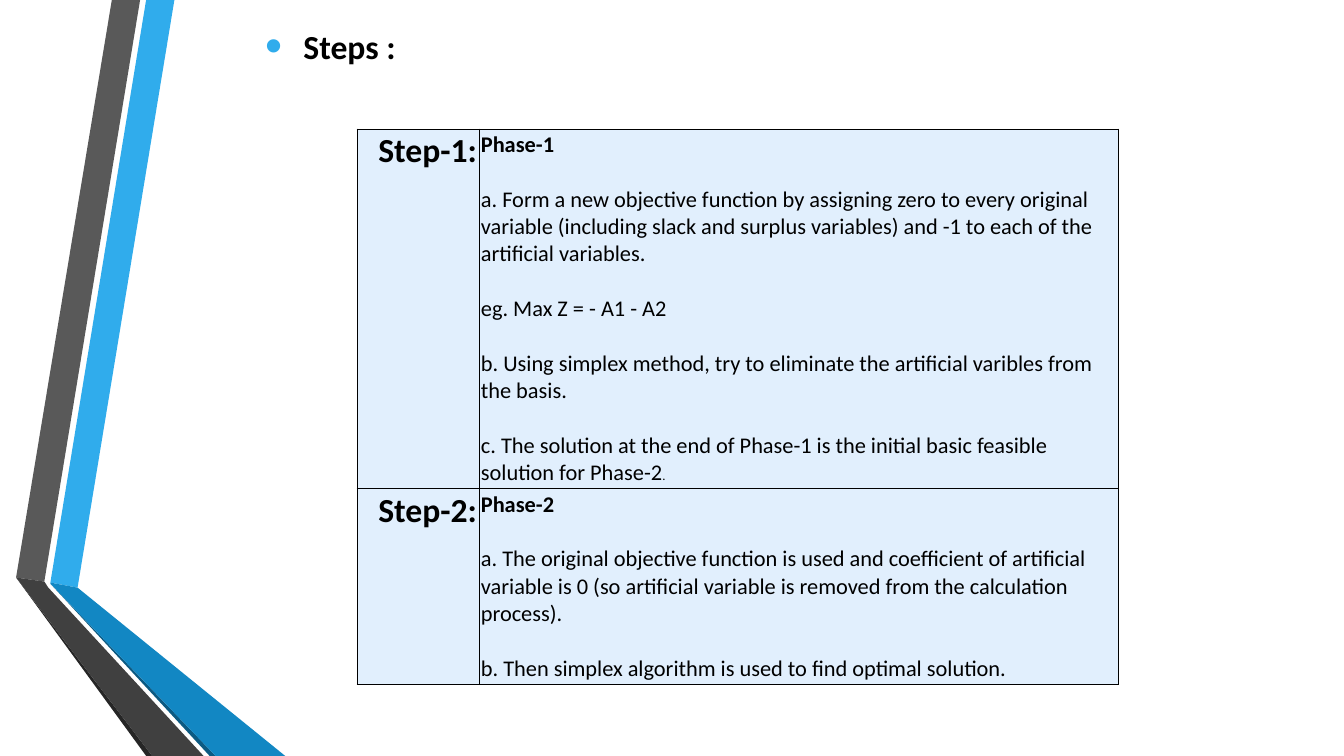
from lxml import etree
from pptx import Presentation
from pptx.dml.color import RGBColor
from pptx.enum.text import MSO_ANCHOR, PP_ALIGN
from pptx.oxml.ns import qn
from pptx.util import Inches, Pt

LEFT, RIGHT, JUST = PP_ALIGN.LEFT, PP_ALIGN.RIGHT, PP_ALIGN.JUSTIFY
TOP, MIDDLE = MSO_ANCHOR.TOP, MSO_ANCHOR.MIDDLE
FONT, BLACK, SKY, PALE = "Calibri", "000000", "30ACEC", "E1EFFD"
LINE = 19.5  # height in points of one 16 pt line

# Ribbon bands, back to front, as corners in inches
BANDS = [
    (SKY, [(0.5, 5.78), (0.77, 5.83), (1.73, 0), (1.45, 0)]),
    ("595959", [(1.39, 0), (1.11, 0), (0.16, 5.73), (0.44, 5.77)]),
    ("262626", [(0.16, 5.73), (1.45, 7.5), (1.51, 7.5)]),
    ("0C5A82", [(0.5, 5.79), (2.08, 7.5), (2.14, 7.5)]),
    ("1287C3", [(0.5, 5.79), (2.14, 7.5), (2.83, 7.5), (0.77, 5.83), (0.5, 5.78)]),
    ("404040", [(2.02, 7.5), (0.48, 5.83), (0.44, 5.77), (0.16, 5.73), (1.51, 7.5)]),
]

# Each step: label, then paragraphs as lists of (text, format)
HEAD = {"size": Pt(16), "bold": True}
BODY = {"size": Pt(16), "bold": False}
TINY = {"size": Pt(9), "bold": False}
LABEL = {"size": Pt(24), "bold": True}
STEPS = [
    ("Step-1:", [
        [("Phase-1", HEAD)],
        [("a. Form a new objective function by assigning zero to every original "
          "variable (including slack and surplus variables) and -1 to each of the "
          "artificial variables.", BODY)],
        [("eg. Max Z = - A1 - A2", BODY)],
        [("b. Using simplex method, try to eliminate the artificial varibles from "
          "the basis.", BODY)],
        [("c. The solution at the end of Phase-1 is the initial basic feasible "
          "solution for Phase-2", BODY), (".", TINY)],
    ]),
    ("Step-2:", [
        [("Phase-2", HEAD)],
        [("a. The original objective function is used and coefficient of artificial "
          "variable is 0 (so artificial variable is removed from the calculation "
          "process).", BODY)],
        [("b. Then simplex algorithm is used to find optimal solution.", BODY)],
    ]),
]


def paint(fill, color):
    """Give a fill one solid colour."""
    fill.solid()
    fill.fore_color.rgb = RGBColor.from_string(color)


def apply(item, values):
    """Set each named attribute on the item."""
    for name, value in values.items():
        setattr(item, name, value)


def write(frame, paras, align, gap=0):
    """Write paragraphs of formatted runs, with a gap in points between them."""
    for i, runs in enumerate(paras):
        para = frame.add_paragraph() if i else frame.paragraphs[0]
        apply(para, {"alignment": align, "space_before": Pt(gap if i else 0)})
        for text, form in runs:
            run = para.add_run()
            run.text = text
            apply(run.font, {"name": FONT, **form})
            paint(run.font.fill, BLACK)


def add_ribbon(slide, left, top):
    """Draw the folded ribbon from its top left corner."""
    for color, points in BANDS:
        spots = [(Inches(left + x), Inches(top + y)) for x, y in points]
        pen = slide.shapes.build_freeform(*spots[0])
        pen.add_line_segments(spots[1:], close=True)
        band = pen.convert_to_shape()
        band.shadow.inherit = False
        paint(band.fill, color)
        band.line.fill.background()


def add_title(slide, left, top, width, height):
    """Place the title with its bullet."""
    title = slide.shapes.title
    apply(title, {"left": Inches(left), "top": Inches(top),
                  "width": Inches(width), "height": Inches(height)})
    frame = title.text_frame
    apply(frame, {"word_wrap": True, "vertical_anchor": MIDDLE})
    write(frame, [[("Steps :", LABEL)]], JUST)
    props = frame.paragraphs[0]._p.get_or_add_pPr()
    props.set("marL", str(Inches(0.38)))
    props.set("indent", str(-Inches(0.38)))
    tint = etree.SubElement(props, qn("a:buClr"))
    etree.SubElement(tint, qn("a:srgbClr"), val=SKY)
    etree.SubElement(props, qn("a:buSzPct"), val="145000")
    etree.SubElement(props, qn("a:buFont"), typeface="Arial")
    etree.SubElement(props, qn("a:buChar"), char="\u2022")


def style_cell(cell, anchor):
    """Set a cell's margins, border and fill."""
    sides = ("left", "right", "top", "bottom")
    apply(cell, {f"margin_{side}": Inches(0.02) for side in sides})
    cell.vertical_anchor = anchor
    props = cell._tc.get_or_add_tcPr()
    for side in sides:
        edge = etree.SubElement(props, qn("a:ln" + side[0].upper()), w=str(Pt(0.6)))
        solid = etree.SubElement(edge, qn("a:solidFill"))
        etree.SubElement(solid, qn("a:srgbClr"), val=BLACK)
    paint(cell.fill, PALE)


def add_steps(slide, left, top, widths, heights):
    """Build the table of steps, one row for each."""
    box = [Inches(v) for v in (left, top, sum(widths), sum(heights))]
    table = slide.shapes.add_table(len(heights), len(widths), *box).table
    apply(table, {"first_row": False, "horz_banding": False})
    for col, width in zip(table.columns, widths):
        col.width = Inches(width)
    for row, height, (label, paras) in zip(table.rows, heights, STEPS):
        row.height = Inches(height)
        name, text = row.cells
        style_cell(name, TOP)
        style_cell(text, MIDDLE)
        write(name.text_frame, [[(label, LABEL)]], RIGHT)
        write(text.text_frame, paras, LEFT, LINE)


def main():
    """Build and save the slide."""
    deck = Presentation()
    apply(deck, {"slide_width": Inches(13.33), "slide_height": Inches(7.5)})
    slide = deck.slides.add_slide(deck.slide_layouts[5])
    add_ribbon(slide, 0, 0)
    add_title(slide, 2.53, 0, 10.2, 0.91)
    add_steps(slide, 3.54, 1.28, (1.21, 6.34), (3.57, 1.94))
    deck.save("out.pptx")


main()
